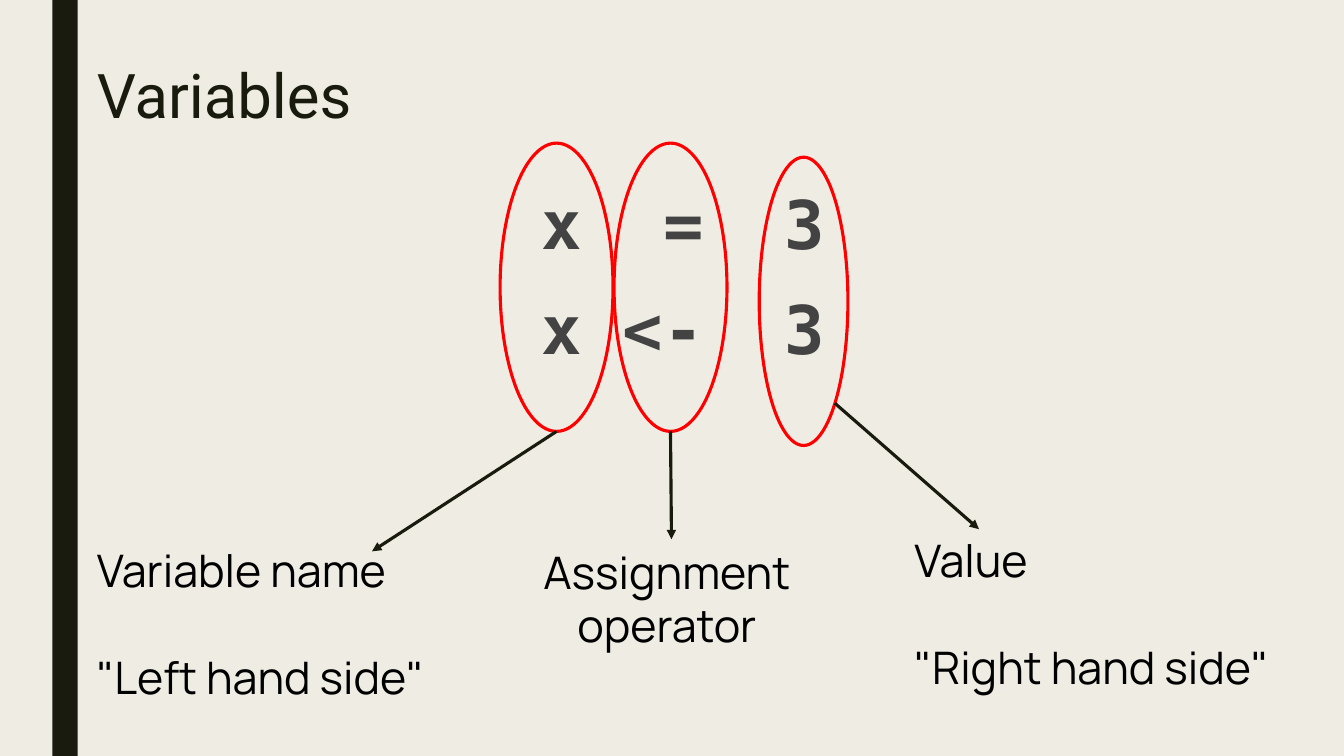
import pptx
import pptx.util
import pptx.dml.color
import pptx.enum.shapes
import pptx.enum.text
import pptx.oxml
import pptx.oxml.ns
from pptx.util import Inches

# Content
TITLE = "Variables"
CODE_LINES = ["x  =  3", "x <-  3"]
# Each part: oval box, arrow start and end, label box, label lines, alignment, gap between lines
PARTS = [
    ((4.96, 1.42, 1.12, 2.86), (5.52, 4.28), (3.69, 5.47),
     (0.83, 5.25, 3.89, 1.73), ["Variable name", '"Left hand side"'], "LEFT", 38),
    ((6.09, 1.42, 1.12, 2.86), (6.65, 4.28), (6.66, 5.35),
     (5.16, 5.27, 2.91, 1.73), ["Assignment", "operator"], "CENTER", 0),
    ((7.53, 1.56, 0.88, 2.86), (8.28, 4), (9.71, 5.25),
     (8.94, 5.16, 3.89, 1.73), ["Value", '"Right hand side"'], "LEFT", 38),
]

# Style
CREAM, DARK, RED = "EFEDE3", "191B0E", "FF0000"
LINE_WIDTH = 2.25
TITLE_FONT = {"name": "Roboto", "size": 44, "color": DARK, "bold": False}
CODE_FONT = {"name": "DejaVu Sans Mono", "size": 48, "color": "434343", "bold": True}
LABEL_FONT = {"name": "Manrope", "size": 32, "color": "000000", "bold": False}


def paint(color_format, color):
    color_format.rgb = pptx.dml.color.RGBColor.from_string(color)


def draw_line(line, color):
    paint(line.fill.fore_color if line.fill.type else line.color, color)
    line.width = pptx.util.Pt(LINE_WIDTH)


def write(shape, lines, style, align, line_spacing=1.0, gap=0, anchor="TOP"):
    frame = shape.text_frame
    settings = {
        "word_wrap": True,
        "auto_size": pptx.enum.text.MSO_AUTO_SIZE.NONE,
        "vertical_anchor": getattr(pptx.enum.text.MSO_ANCHOR, anchor),
    }
    for side in ("left", "top", "right", "bottom"):
        settings["margin_" + side] = Inches(0.13)
    for name, value in settings.items():
        setattr(frame, name, value)
    for index, line in enumerate(lines):
        para = frame.paragraphs[0] if index == 0 else frame.add_paragraph()
        para.alignment = getattr(pptx.enum.text.PP_ALIGN, align)
        para.line_spacing = line_spacing
        para.space_before = pptx.util.Pt(gap if index else 0)
        span = para.add_run()
        span.text = line
        for name in ("name", "bold"):
            setattr(span.font, name, style[name])
        span.font.size = pptx.util.Pt(style["size"])
        paint(span.font.color, style["color"])


def add_text(page, box, *args, **options):
    write(page.shapes.add_textbox(*map(Inches, box)), *args, **options)


def add_oval(page, box):
    oval = page.shapes.add_shape(pptx.enum.shapes.MSO_SHAPE.OVAL, *map(Inches, box))
    oval.shadow.inherit = False
    oval.fill.background()
    draw_line(oval.line, RED)


def add_arrow(page, start, end):
    arrow = page.shapes.add_connector(
        pptx.enum.shapes.MSO_CONNECTOR.STRAIGHT, *map(Inches, start + end))
    draw_line(arrow.line, DARK)
    line_xml = arrow.line._get_or_add_ln()
    namespace = pptx.oxml.ns.nsdecls("a")
    line_xml.append(pptx.oxml.parse_xml(f'<a:tailEnd {namespace} type="triangle"/>'))
    line_xml.getparent().append(pptx.oxml.parse_xml(f"<a:effectLst {namespace}/>"))


def main():
    deck = pptx.Presentation()
    deck.slide_width, deck.slide_height = Inches(13.33), Inches(7.5)
    page = deck.slides.add_slide(deck.slide_layouts[5])
    page.background.fill.solid()
    paint(page.background.fill.fore_color, CREAM)

    # Side bar
    bar = page.shapes.add_shape(
        pptx.enum.shapes.MSO_SHAPE.RECTANGLE, *map(Inches, (0.52, 0, 0.25, 7.5)))
    bar.shadow.inherit = False
    bar.fill.solid()
    paint(bar.fill.fore_color, DARK)
    bar.line.fill.background()

    # Title and code
    title = page.shapes.title
    title.left, title.top, title.width, title.height = map(Inches, (0.83, 0.52, 12.42, 0.91))
    write(title, [TITLE], TITLE_FONT, "LEFT", line_spacing=0.89, anchor="MIDDLE")
    add_text(page, (0.68, 1.74, 12.2, 2.73), CODE_LINES, CODE_FONT, "CENTER",
             line_spacing=0.94, gap=21.3)

    # Circled parts with their arrows and labels
    for oval, start, end, label_box, label, align, gap in PARTS:
        add_oval(page, oval)
        add_arrow(page, start, end)
        add_text(page, label_box, label, LABEL_FONT, align, gap=gap)

    deck.save("out.pptx")


if __name__ == "__main__":
    main()
